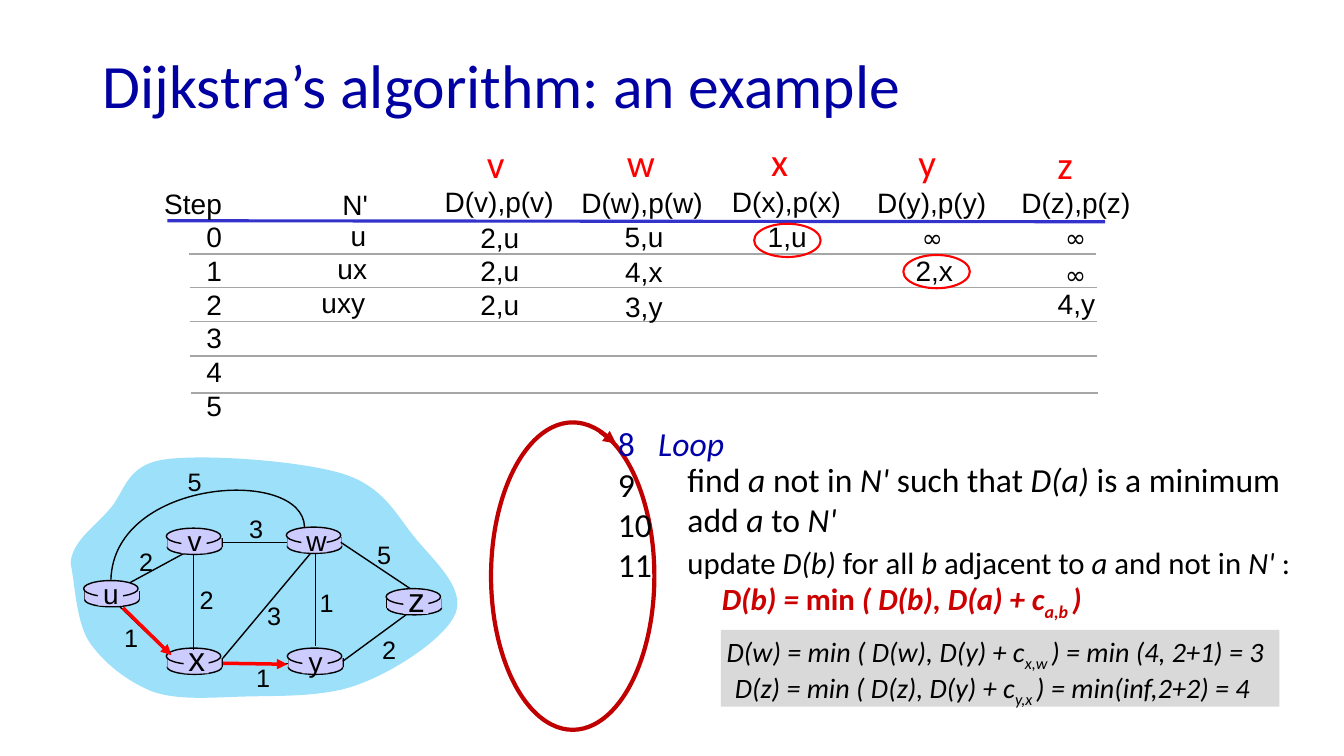
from dataclasses import dataclass
from typing import NamedTuple

from lxml.etree import SubElement
from pptx import Presentation
from pptx.dml.color import RGBColor
from pptx.enum.shapes import MSO_CONNECTOR, MSO_SHAPE
from pptx.enum.text import MSO_ANCHOR, PP_ALIGN
from pptx.oxml.ns import qn
from pptx.util import Inches, Pt

Point = tuple[float, float]


@dataclass(frozen=True)
class Theme:
    sans: str = "Calibri"
    grid: str = "Arial"
    symbol: str = "Comic Neue"
    black: str = "000000"
    title: str = "0000A3"
    loop: str = "0000A8"
    red: str = "FF0000"
    formula: str = "CC0000"
    cycle: str = "C00000"
    header_rule: str = "3333CC"
    row_rule: str = "A6A6A6"
    router: str = "CCCCFF"
    cloud: str = "9CE0FA"
    panel: str = "D9D9D9"
    title_size: int = 44
    letter_size: int = 28
    code_size: int = 24
    update_size: int = 22
    cell_size: int = 20
    weight_size: int = 18


THEME = Theme()


class Run(NamedTuple):
    text: str
    italic: bool = False
    bold: bool = False
    color: str | None = None
    subscript: bool = False


class Paragraph(NamedTuple):
    runs: list[Run]
    indent: float = 0
    tab: float = 0


class Entry(NamedTuple):
    text: str
    left: float
    top: float
    width: float = 0.59


class Router(NamedTuple):
    name: str
    left: float
    top: float
    label_x: float
    label_top: float
    size: int = THEME.cell_size


class Weight(NamedTuple):
    text: str
    x: float
    top: float


def mixed(text: str) -> Paragraph:
    """Make a paragraph whose parts between bars are italic."""
    return Paragraph([Run(part, italic=i % 2 == 1) for i, part in enumerate(text.split("|")) if part])


def worked(start: str, subscript: str, end: str) -> list[Paragraph]:
    return [Paragraph([Run(start, True), Run(subscript, True, subscript=True), Run(end, True)])]


def write(frame, paragraphs: list[Paragraph] | str, *, size: float, font: str = THEME.sans,
          color: str = THEME.black, align=PP_ALIGN.LEFT, spacing: float | None = None) -> None:
    if isinstance(paragraphs, str):
        paragraphs = [mixed(line) for line in paragraphs.split("\n")]
    for i, content in enumerate(paragraphs):
        paragraph = frame.add_paragraph() if i else frame.paragraphs[0]
        paragraph.alignment = align
        paragraph.line_spacing = spacing
        properties = paragraph._p.get_or_add_pPr()
        if content.indent:
            properties.set("marL", str(Inches(content.indent)))
        if content.tab:
            tabs = SubElement(properties, qn("a:tabLst"))
            SubElement(tabs, qn("a:tab"), pos=str(Inches(content.tab)), algn="l")
        for item in content.runs:
            run = paragraph.add_run()
            run.text = item.text
            run.font.name, run.font.size = font, Pt(size)
            run.font.italic, run.font.bold = item.italic, item.bold
            run.font.color.rgb = RGBColor.from_string(item.color or color)
            if item.subscript:
                run.font._element.set("baseline", "-25000")


def add_text(slide, left: float, top: float, width: float, height: float, paragraphs, **style) -> None:
    box = slide.shapes.add_textbox(Inches(left), Inches(top), Inches(width), Inches(height))
    box.text_frame.word_wrap = False
    write(box.text_frame, paragraphs, **style)


def paint(shape, fill: str | None, line: str | None, width: float = 1) -> None:
    shape.shadow.inherit = False
    if fill:
        shape.fill.solid()
        shape.fill.fore_color.rgb = RGBColor.from_string(fill)
    else:
        shape.fill.background()
    if line:
        shape.line.color.rgb = RGBColor.from_string(line)
        shape.line.width = Pt(width)
    else:
        shape.line.fill.background()


def add_shape(slide, kind, left: float, top: float, width: float, height: float,
              fill: str | None = None, line: str | None = None, weight: float = 1) -> None:
    shape = slide.shapes.add_shape(kind, Inches(left), Inches(top), Inches(width), Inches(height))
    paint(shape, fill, line, weight)


def add_line(slide, start: Point, end: Point, color: str = THEME.black, width: float = 1,
             arrow: bool = False) -> None:
    line = slide.shapes.add_connector(MSO_CONNECTOR.STRAIGHT, *map(Inches, start + end))
    line.line.color.rgb = RGBColor.from_string(color)
    line.line.width = Pt(width)
    if arrow:
        SubElement(line.line._get_or_add_ln(), qn("a:tailEnd"), type="triangle")
    SubElement(line._element.spPr, qn("a:effectLst"))


def add_curve(slide, points: list[Point], *, closed: bool, fill: str | None = None,
              line: str | None = None) -> None:
    """Draw cubic curves: a start point, then two controls and an end for each curve."""
    start, *rest = [(Inches(x), Inches(y)) for x, y in points]
    builder = slide.shapes.build_freeform(*start)
    builder.add_line_segments(rest, close=closed)
    shape = builder.convert_to_shape()
    segments = list(shape._element.iter(qn("a:lnTo")))
    for i in range(0, len(segments), 3):
        first, *others = segments[i:i + 3]
        first.tag = qn("a:cubicBezTo")
        for segment in others:
            first.append(segment[0])
            segment.getparent().remove(segment)
    paint(shape, fill, line)


def add_router(slide, router: Router) -> None:
    left, top, width = router.left + 0.01, router.top + 0.1, 0.54
    add_shape(slide, MSO_SHAPE.OVAL, left, top + 0.02, width, 0.14, THEME.router, THEME.black)
    for x in (left, left + width):
        add_line(slide, (x, top), (x, top + 0.09))
    add_shape(slide, MSO_SHAPE.RECTANGLE, left, top, width, 0.09, THEME.router)
    add_shape(slide, MSO_SHAPE.OVAL, router.left, router.top, width, 0.16, THEME.router, THEME.black)


def add_label(slide, text: str, x: float, top: float, size: int) -> None:
    add_text(slide, x - 0.18, top, 0.36, 0.43, text, size=size, font=THEME.grid, align=PP_ALIGN.CENTER)


ENTRIES = [Entry("Step\n0\n1\n2\n3\n4\n5", 1.53, 1.8, 0.77), Entry("N'", 3.29, 1.81, 0.46),
           Entry("D(v),p(v)", 4.3, 1.78, 1.29), Entry("D(w),p(w)", 5.65, 1.79, 1.42),
           Entry("D(x),p(x)", 7.15, 1.78, 1.29), Entry("D(y),p(y)", 8.59, 1.79, 1.29),
           Entry("D(z),p(z)", 10.02, 1.79, 1.29),
           Entry("u", 3.37, 2.12, 0.36), Entry("2,u", 4.66, 2.14), Entry("5,u", 6.09, 2.13),
           Entry("1,u", 7.51, 2.13), Entry("∞", 9.04, 2.16, 0.41), Entry("∞", 10.46, 2.16, 0.41),
           Entry("ux", 3.24, 2.45, 0.5), Entry("2,u", 4.66, 2.47), Entry("4,x", 6.09, 2.48, 0.58),
           Entry("2,x", 8.97, 2.47, 0.58), Entry("∞", 10.46, 2.52, 0.41),
           Entry("uxy", 3.08, 2.78, 0.64), Entry("2,u", 4.66, 2.8), Entry("3,y", 6.09, 2.82, 0.58),
           Entry("4,y", 10.38, 2.79, 0.58)]
LETTERS = [Entry("v", 4.73, 1.33, 0.38), Entry("w", 6.12, 1.32, 0.48), Entry("x", 7.55, 1.31, 0.37),
           Entry("y", 9.01, 1.32, 0.38), Entry("z", 10.39, 1.34, 0.36)]
ROW_RULES = [(1.87, 2.52), (1.88, 2.85), (1.88, 3.19), (1.88, 3.53), (1.89, 3.9)]
ROUTERS = [Router("u", 0.83, 5.76, 1.1, 5.67), Router("x", 1.65, 6.43, 1.95, 6.28, THEME.code_size),
           Router("v", 1.65, 5.24, 1.93, 5.14), Router("w", 2.84, 5.23, 3.12, 5.14),
           Router("y", 2.85, 6.43, 3.13, 6.34), Router("z", 3.83, 5.84, 4.13, 5.69, THEME.code_size)]
LINKS = [((1.29, 5.78), (1.88, 5.46)), ((3.13, 5.5), (3.13, 6.41)), ((1.92, 5.51), (1.92, 6.45)),
         ((2.21, 6.53), (3.08, 5.49)), ((3.4, 6.56), (4.04, 6.09)), ((2.86, 6.58), (2.22, 6.58)),
         ((1.67, 6.48), (1.19, 6.02)), ((2.85, 5.38), (2.21, 5.38)), ((4.07, 5.84), (3.38, 5.38))]
CHOSEN_LINKS = [((1.22, 6.03), (1.7, 6.5)), ((2.21, 6.58), (2.85, 6.59))]
WEIGHTS = [Weight("2", 1.45, 5.37), Weight("2", 2.05, 5.75), Weight("1", 1.3, 6.12),
           Weight("3", 2.72, 5.91), Weight("1", 2.61, 6.52), Weight("1", 3.24, 5.78),
           Weight("2", 3.86, 6.24), Weight("5", 3.81, 5.3), Weight("3", 2.54, 5.04), Weight("5", 1.93, 4.58)]
CLOUD = [(0.7, 5.59), (0.71, 5.38), (0.93, 5.23), (1.08, 5.06), (1.24, 4.89), (1.24, 4.62), (1.62, 4.56),
         (2.01, 4.5), (2.98, 4.57), (3.4, 4.7), (3.81, 4.83), (3.93, 5.11), (4.12, 5.34),
         (4.31, 5.57), (4.61, 5.83), (4.52, 6.08), (4.43, 6.32), (3.93, 6.65), (3.58, 6.78),
         (3.24, 6.92), (2.77, 6.9), (2.43, 6.91), (2.08, 6.92), (1.77, 6.95), (1.51, 6.86),
         (1.26, 6.76), (1.02, 6.57), (0.88, 6.36), (0.75, 6.15), (0.74, 5.75), (0.7, 5.59)]
OUTER_LINK = [(3.02, 5.23), (3.01, 4.63), (1.13, 4.74), (1.1, 5.75)]


def add_distances(slide) -> None:
    add_line(slide, (1.66, 2.19), (10.96, 2.2), THEME.header_rule, 2.25)
    for x, y in ROW_RULES:
        add_line(slide, (x, y), (x + 9, y), THEME.row_rule)
    for entry in ENTRIES:
        size, font = (THEME.weight_size, THEME.symbol) if entry.text == "∞" else (THEME.cell_size, THEME.grid)
        height = 2.43 if "\n" in entry.text else 0.44
        add_text(slide, entry.left, entry.top, entry.width, height, entry.text,
                 size=size, font=font, align=PP_ALIGN.RIGHT)
    for letter in LETTERS:
        add_text(slide, letter.left, letter.top, letter.width, 0.57, letter.text,
                 size=THEME.letter_size, color=THEME.red)
    for left, top in ((7.48, 2.22), (8.96, 2.53)):
        add_shape(slide, MSO_SHAPE.OVAL, left, top, 0.66, 0.33, None, THEME.red, 1.5)


def add_network(slide) -> None:
    add_curve(slide, CLOUD, closed=True, fill=THEME.cloud)
    for router in ROUTERS:
        add_router(slide, router)
    for start, end in LINKS:
        add_line(slide, start, end)
    add_curve(slide, OUTER_LINK, closed=False, line=THEME.black)
    for router in ROUTERS:
        add_shape(slide, MSO_SHAPE.RECTANGLE, router.label_x - 0.13, router.top + 0.02, 0.25, 0.23, THEME.router)
        add_label(slide, router.name, router.label_x, router.label_top, router.size)
    for weight in WEIGHTS:
        add_label(slide, *weight, THEME.weight_size)
    for start, end in CHOSEN_LINKS:
        add_line(slide, start, end, THEME.red, 2.5, arrow=True)


def add_loop(slide) -> None:
    add_shape(slide, MSO_SHAPE.OVAL, 4.87, 4.19, 1.62, 3.05, None, THEME.cycle, 3)
    add_line(slide, (5.95, 4.28), (6.11, 4.4), THEME.cycle, 3, arrow=True)
    heading = Paragraph([Run("8\t", color=THEME.loop), Run("Loop", True, color=THEME.loop)], tab=0.4)
    add_text(slide, 6.03, 4.15, 1.34, 1.72, [heading, *map(mixed, ("9", "10", "11"))], size=THEME.code_size)
    add_text(slide, 6.72, 4.5, 6.34, 0.91, "find |a| not in |N' |such that |D(a) |is a minimum\nadd |a| to |N'",
             size=THEME.code_size)
    bold = dict(bold=True, color=THEME.formula)
    formula = Paragraph([Run("D(b) = ", True, **bold), Run("min", **bold), Run(" ( D(b), D(a) + c", True, **bold),
                         Run("a,b ", True, subscript=True, **bold), Run(")", True, **bold)], indent=0.34)
    add_text(slide, 6.72, 5.34, 6.31, 0.84,
             [mixed("update |D(b) |for all |b| adjacent to |a| and not in |N' |:"), formula], size=THEME.update_size)
    add_shape(slide, MSO_SHAPE.RECTANGLE, 7.15, 6.25, 5.54, 0.76, THEME.panel)
    add_text(slide, 7.11, 6.25, 5.67, 0.44, worked("D(w) = min ( D(w), D(y) + c", "x,w ", ") = min (4, 2+1) = 3"),
             size=THEME.cell_size)
    add_text(slide, 7.19, 6.6, 5.52, 0.44, worked("D(z) = min ( D(z), D(y) + c", "y,x ", ") = min(inf,2+2) = 4"),
             size=THEME.cell_size)


def main() -> None:
    presentation = Presentation()
    presentation.slide_width, presentation.slide_height = Inches(13.33), Inches(7.5)
    slide = presentation.slides.add_slide(presentation.slide_layouts[5])
    title = slide.shapes.title
    title.left, title.top, title.width, title.height = map(Inches, (0.92, 0.39, 12.23, 0.98))
    title.text_frame.vertical_anchor = MSO_ANCHOR.MIDDLE
    write(title.text_frame, "Dijkstra’s algorithm: an example", size=THEME.title_size, color=THEME.title, spacing=0.9)
    add_distances(slide)
    add_network(slide)
    add_loop(slide)
    presentation.save("out.pptx")


if __name__ == "__main__":
    main()
